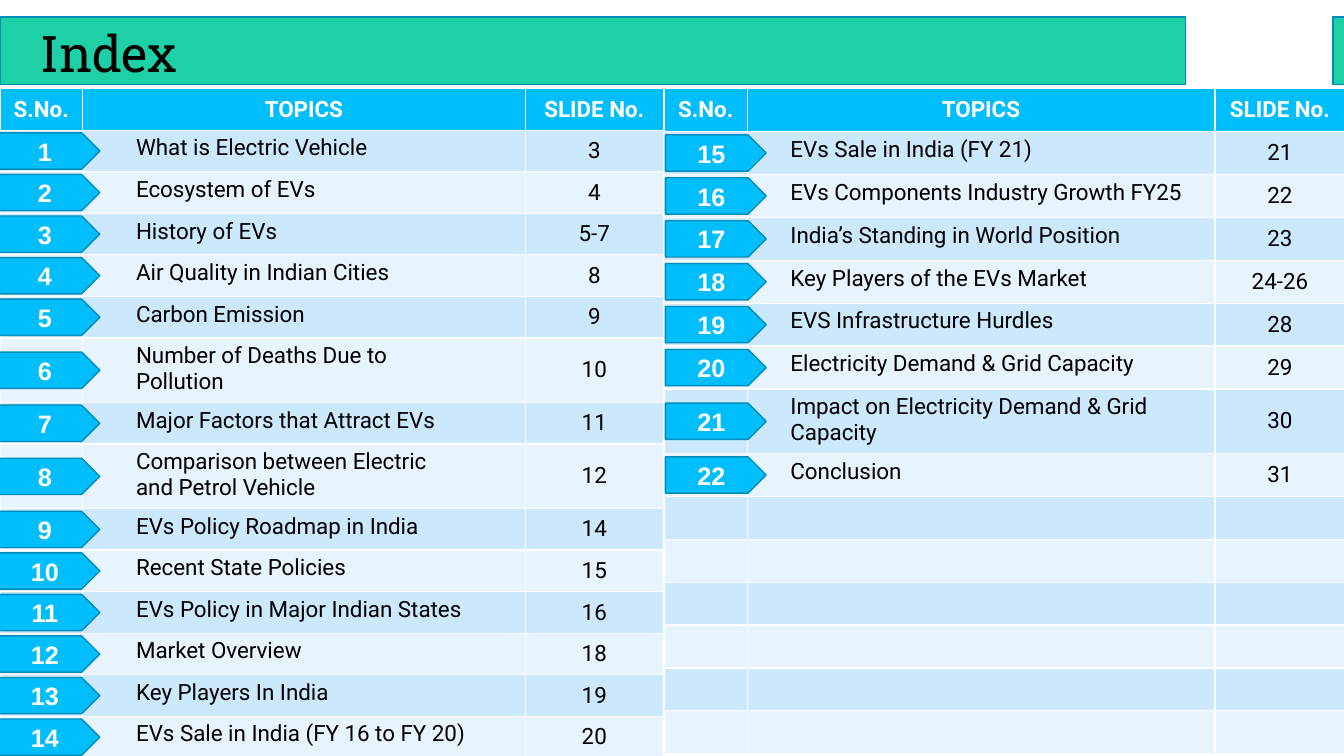
"""Build an index slide with two topic tables and numbered badges."""
from pptx import Presentation
from pptx.dml.color import RGBColor
from pptx.enum import shapes as sh, text as tx
from pptx.util import Inches, Pt

GREEN = RGBColor(0x1E, 0xD0, 0xA6)
BLUE = RGBColor(0x00, 0xBD, 0xFB)
EDGE = RGBColor(0x00, 0x8C, 0xBA)
BANDS = RGBColor(0xE7, 0xF4, 0xFE), RGBColor(0xCC, 0xE8, 0xFD)
WHITE = RGBColor(0xFF, 0xFF, 0xFF)
BLACK = RGBColor(0x00, 0x00, 0x00)

HEADS = "S.No.", "TOPICS", "SLIDE No."
ROWS = 14
TOP, TALL = 0.88, 0.64
BADGE_W, BADGE_H = 1, 0.36

LEFT = [
    ("What is Electric Vehicle", "3"),
    ("Ecosystem of EVs", "4"),
    ("History of EVs", "5-7"),
    ("Air Quality in Indian Cities", "8"),
    ("Carbon Emission", "9"),
    ("Number of Deaths Due to\nPollution", "10"),
    ("Major Factors that Attract EVs", "11"),
    ("Comparison between Electric\nand Petrol Vehicle", "12"),
    ("EVs Policy Roadmap in India", "14"),
    ("Recent State Policies", "15"),
    ("EVs Policy in Major Indian States", "16"),
    ("Market Overview", "18"),
    ("Key Players In India", "19"),
    ("EVs Sale in India (FY 16 to FY 20)", "20"),
]
RIGHT = [
    ("EVs Sale in India (FY 21)", "21"),
    ("EVs Components Industry Growth FY25", "22"),
    ("India’s Standing in World Position", "23"),
    ("Key Players of the EVs Market", "24-26"),
    ("EVS Infrastructure Hurdles", "28"),
    ("Electricity Demand & Grid Capacity", "29"),
    ("Impact on Electricity Demand & Grid\nCapacity", "30"),
    ("Conclusion", "31"),
]


def write(frame, words, size, color, font="Roboto", bold=False, align=tx.PP_ALIGN.CENTER):
    """Fill a text frame with one paragraph per line."""
    for i, line in enumerate(words.split("\n")):
        para = frame.add_paragraph() if i else frame.paragraphs[0]
        para.alignment = align
        run = para.add_run()
        run.text = line
        run.font.size, run.font.name, run.font.bold = Pt(size), font, bold
        run.font.color.rgb = color


def add_box(slide, kind, left, top, width, height, fill):
    """Add a filled shape with a thin edge."""
    box = slide.shapes.add_shape(
        kind, Inches(left), Inches(top), Inches(width), Inches(height))
    box.shadow.inherit = False
    box.fill.solid()
    box.fill.fore_color.rgb = fill
    box.line.color.rgb = EDGE
    box.line.width = Pt(1)
    return box


def add_title(slide, bar):
    """Place the title over its bar."""
    title = slide.shapes.title
    bar.element.addnext(title.element)
    title.left, title.top = Inches(0.3), Inches(0.16)
    title.width, title.height = Inches(5.95), Inches(0.71)
    title.text_frame.vertical_anchor = tx.MSO_ANCHOR.MIDDLE
    write(title.text_frame, "Index", 36, BLACK, "Roboto Slab", align=tx.PP_ALIGN.LEFT)


def add_index(slide, left, height, widths, indent, topics):
    """Add a topic table and return its row heights in inches."""
    tall = sum("\n" in topic for topic, _ in topics)
    short = (height - tall * TALL) / (ROWS + 1 - tall)
    table = slide.shapes.add_table(
        ROWS + 1, len(HEADS), Inches(left), Inches(TOP),
        Inches(sum(widths)), Inches(height)).table
    for col, width in zip(table.columns, widths):
        col.width = Inches(width)
    blank = [("", "")] * (ROWS - len(topics))
    lines = [HEADS] + [("", *pair) for pair in topics + blank]
    sizes = [TALL if "\n" in line[1] else short for line in lines]
    for r, line in enumerate(lines):
        table.rows[r].height = Inches(sizes[r])
        for c, words in enumerate(line):
            cell = table.cell(r, c)
            cell.fill.solid()
            cell.fill.fore_color.rgb = BANDS[r % 2] if r else BLUE
            if not words:
                continue
            if r and c == 1:
                cell.margin_left = Inches(indent)
                write(cell.text_frame, words, 16, BLACK, align=tx.PP_ALIGN.LEFT)
            else:
                cell.vertical_anchor = tx.MSO_ANCHOR.MIDDLE
                write(cell.text_frame, words, 16, BLACK if r else WHITE, bold=not r)
    return sizes


def add_badges(slide, left, sizes, first, count):
    """Centre a numbered badge on each topic row."""
    for i in range(count):
        mid = TOP + sum(sizes[:i + 1]) + sizes[i + 1] / 2
        badge = add_box(slide, sh.MSO_SHAPE.PENTAGON, left, mid - BADGE_H / 2,
                        BADGE_W, BADGE_H, BLUE)
        badge.text_frame.vertical_anchor = tx.MSO_ANCHOR.MIDDLE
        write(badge.text_frame, str(first + i), 18, WHITE, "Arial", True)


def main():
    """Build and save the slide."""
    deck = Presentation()
    deck.slide_width, deck.slide_height = Inches(13.33), Inches(7.5)
    slide = deck.slides.add_slide(deck.slide_layouts[5])
    add_box(slide, sh.MSO_SHAPE.RECTANGLE, 13.22, 0.17, 0.12, 0.67, GREEN)
    bar = add_box(slide, sh.MSO_SHAPE.RECTANGLE, 0, 0.17, 11.76, 0.67, GREEN)
    add_title(slide, bar)
    near = add_index(slide, 0, 6.64, (0.82, 4.39, 1.37), 0.53, LEFT)
    far = add_index(slide, 6.59, 6.6, (0.82, 4.64, 1.29), 0.43, RIGHT)
    add_badges(slide, -0.01, near, 1, len(LEFT))
    add_badges(slide, 6.6, far, len(LEFT) + 1, len(RIGHT))
    deck.save("out.pptx")


if __name__ == "__main__":
    main()
